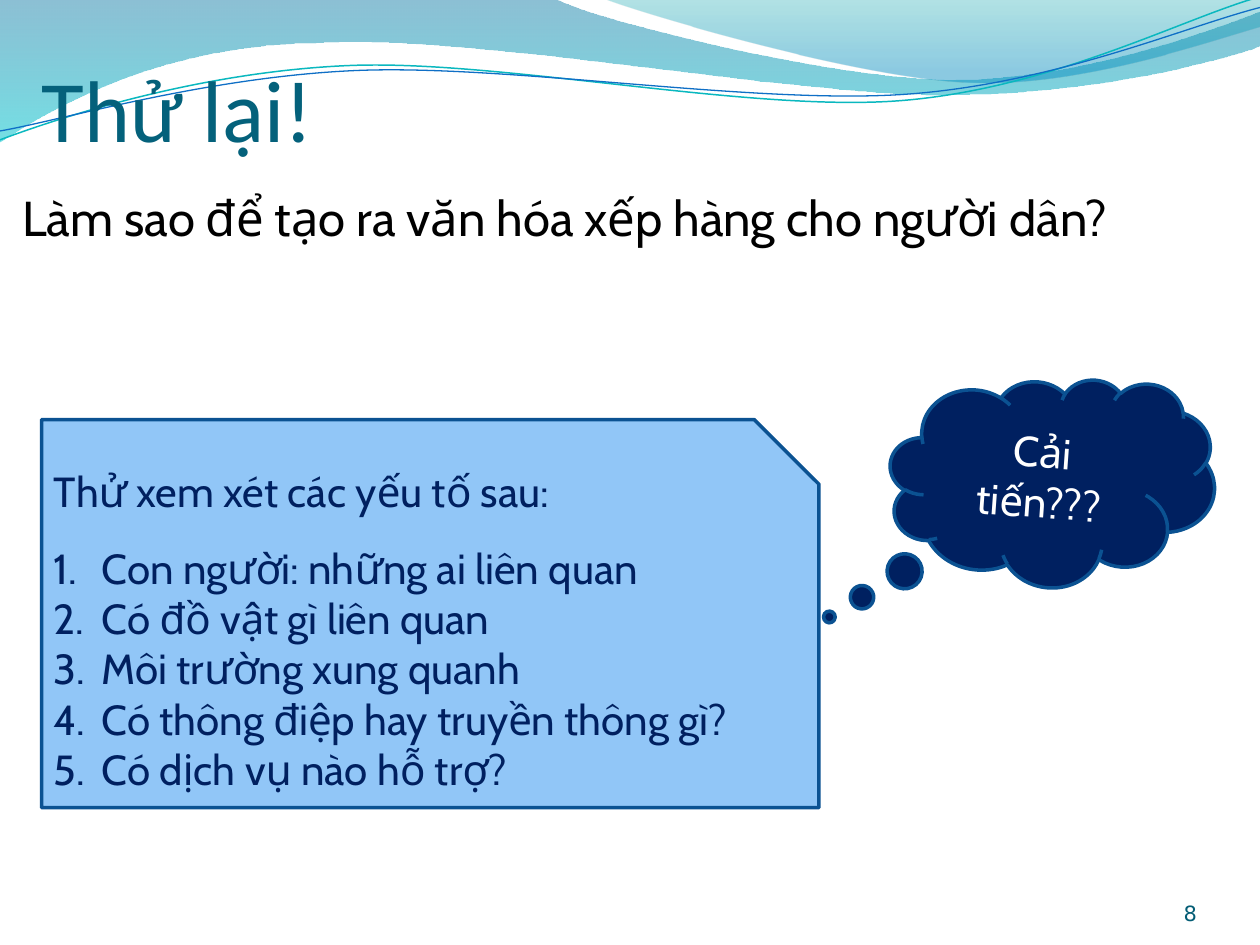
"""Build the queueing-culture exercise slide with its wave header."""
from math import cos, radians, sin

from lxml import etree
from pptx import Presentation
from pptx.dml.color import RGBColor
from pptx.enum.shapes import MSO_SHAPE
from pptx.enum.text import MSO_ANCHOR, PP_ALIGN
from pptx.oxml.ns import qn
from pptx.util import Inches, Pt

CLOUD, SNIP = MSO_SHAPE.CLOUD_CALLOUT, MSO_SHAPE.SNIP_1_RECTANGLE
MIDDLE, BOTTOM = MSO_ANCHOR.MIDDLE, MSO_ANCHOR.BOTTOM
LEFT, RIGHT = PP_ALIGN.LEFT, PP_ALIGN.RIGHT
CENTER, JUSTIFY = PP_ALIGN.CENTER, PP_ALIGN.JUSTIFY
NAVY = RGBColor(0x00, 0x20, 0x60)
EDGE = RGBColor(0x0B, 0x52, 0x92)
SKY = RGBColor(0x91, 0xC6, 0xF7)
WHITE = RGBColor(0xFF, 0xFF, 0xFF)
BLACK = RGBColor(0x00, 0x00, 0x00)
TITLE = RGBColor(0x04, 0x61, 0x7B)
NUMBER = RGBColor(0x04, 0x5D, 0x75)
DEEP, AQUA = RGBColor(0x00, 0x74, 0xA1), RGBColor(0x00, 0xC6, 0xCF)
TEAL, BLUE = RGBColor(0x00, 0xA1, 0xA9), RGBColor(0x00, 0x8B, 0xBF)
STRAND, THREAD = RGBColor(0x0A, 0xB8, 0xBF), RGBColor(0x0F, 0x6F, 0xC6)
TILT = 2.7

deck = Presentation()
deck.slide_width, deck.slide_height = Inches(10), Inches(7.5)
slide = deck.slides.add_slide(deck.slide_layouts[6])
shapes = slide.shapes


def trace(start, parts, close):
    """Draw straight parts (x, y) and cubic parts (x1, y1, x2, y2, x, y)."""
    dots = [part[i:i + 2] for part in parts for i in range(0, len(part), 2)]
    draft = shapes.build_freeform(Inches(start[0]), Inches(start[1]), 1)
    draft.add_line_segments([(Inches(x), Inches(y)) for x, y in dots], close=close)
    shape = draft.convert_to_shape()
    shape.shadow.inherit = False
    legs = iter(list(shape.element.spPr.iter(qn("a:lnTo"))))
    for part in parts:
        leg = next(legs)
        if len(part) == 6:
            leg.addprevious(etree.Element(qn("a:cubicBezTo")))
            curve = leg.getprevious()
            for bit in (leg, next(legs), next(legs)):
                curve.append(bit[0])
                bit.getparent().remove(bit)
    return shape


def write(shape, lines, align, face, size, ink, frame):
    """Fill a shape with paragraphs in one style."""
    text = shape.text_frame
    text.word_wrap = True
    for name, value in frame.items():
        setattr(text, name, value)
    text.text = "\n".join(lines)
    look = {"name": face, "size": Pt(size)}
    for para in text.paragraphs:
        para.alignment = align
        font = para.runs[0].font
        for name, value in look.items():
            setattr(font, name, value)
        font.color.rgb = ink
    return text.paragraphs


waves = [
    ((0, -0.01), [
        (4.4, -0.01), (4.76, 0.17, 6.64, 0.63, 7.58, 0.63),
        (8.53, 0.63, 9.58, 0.26, 10, 0.09), (10.01, 0.36),
        (9.83, 0.44, 8.7, 0.76, 7.46, 0.75), (6.22, 0.75, 3.82, 0.28, 2.57, 0.34),
        (1.29, 0.35, 0.46, 0.83, -0.01, 1.13), (0, -0.01),
    ], [(0, DEEP, 45), (1, AQUA, 55)]),
    ((4.79, -0.01), [
        (5.09, 0.11, 6.82, 0.62, 7.69, 0.65), (8.56, 0.69, 9.61, 0.32, 10, 0.21),
        (10, 0), (4.79, -0.01),
    ], [(0, TEAL, 30), (0.8, BLUE, 45)]),
]
for start, parts, stops in waves:
    wave = trace(start, parts, True)
    wave.line.fill.background()
    wave.fill.gradient()
    wave.fill.gradient_angle = 270
    for stop, (place, tone, _) in zip(wave.fill.gradient_stops, stops):
        stop.position = place
        stop.color.rgb = tone
    tones = wave.element.spPr.iter(qn("a:srgbClr"))
    for tone, (_, _, alpha) in zip(tones, stops):
        etree.SubElement(tone, qn("a:alpha"), val=str(alpha * 1000))

strands = [
    ((0, 1.11), [
        (0.48, 0.93, 1.58, 0.57, 2.77, 0.52), (3.95, 0.47, 5.93, 0.89, 7.13, 0.8),
        (8.33, 0.71, 9.38, 0.15, 9.98, -0.02),
    ], (4.99, 0.58), STRAND, 0.85),
    ((0, 1.04), [
        (0.47, 0.96, 1.64, 0.61, 2.83, 0.56), (4.03, 0.51, 5.97, 0.83, 7.17, 0.75),
        (8.36, 0.67, 9.41, 0.21, 10, 0.06),
    ], (5, 0.59), THREAD, 0.75),
]
c, s = cos(radians(TILT)), sin(radians(TILT))
for start, parts, (mid, high), tone, width in strands:
    level = []
    for part in [start, *parts]:
        flat = []
        for x, y in zip(part[::2], part[1::2]):
            dx, dy = x - mid, y - high
            flat += [mid + dx * c - dy * s, high + dx * s + dy * c]
        level.append(flat)
    strand = trace(level[0], level[1:], False)
    strand.rotation = 360 - TILT
    strand.fill.background()
    strand.line.color.rgb = tone
    strand.line.width = Pt(width)

flush = {"margin_left": 0, "margin_right": 0, "margin_top": 0, "margin_bottom": 0,
         "vertical_anchor": BOTTOM}
labels = [
    ((0.33, 0.42, 9, 0.85), "Thử lại!", LEFT, "Calibri", 50, TITLE,
     {**flush, "margin_top": Inches(0.05)}),
    ((8.67, 6.95, 0.83, 0.4), "8", RIGHT, "DejaVu Sans", 12, NUMBER, flush),
    ((0.08, 1.44, 9.5, 0.57), "Làm sao để tạo ra văn hóa xếp hàng cho người dân?",
     LEFT, "Cabin", 28, BLACK, {}),
]
for box, words, *style in labels:
    label = shapes.add_textbox(*map(Inches, box))
    paras = write(label, [words], *style)
paras[0].space_before = Pt(6)

hints = [
    "Thử xem xét các yếu tố sau:",
    "Con người: những ai liên quan",
    "Có đồ vật gì liên quan",
    "Môi trường xung quanh",
    "Có thông điệp hay truyền thông gì?",
    "Có dịch vụ nào hỗ trợ?",
]
panels = [
    (CLOUD, (7.06, 2.99, 2.58, 1.67), NAVY, ["Cải tiến???"], CENTER, WHITE),
    (SNIP, (0.33, 3.33, 6.17, 3.08), SKY, hints, JUSTIFY, NAVY),
]
for kind, box, tone, lines, align, ink in panels:
    panel = shapes.add_shape(kind, *map(Inches, box))
    panel.shadow.inherit = False
    panel.fill.solid()
    panel.fill.fore_color.rgb = tone
    panel.line.color.rgb = EDGE
    panel.line.width = Pt(2)
    paras = write(panel, lines, align, "Cabin", 24, ink, {"vertical_anchor": MIDDLE})
    if kind == CLOUD:
        panel.rotation = 4.2
        panel.adjustments[0], panel.adjustments[1] = -0.653, 0.718

paras[0].space_after = Pt(15)
for rank, para in enumerate(paras):
    props = para._p.get_or_add_pPr()
    props.set("marL", str(Inches(0.38)))
    props.set("indent", str(Inches(-0.38)))
    if rank:
        etree.SubElement(props, qn("a:buFont"), typeface="+mj-lt")
        etree.SubElement(props, qn("a:buAutoNum"), type="arabicPeriod")

deck.save("out.pptx")
